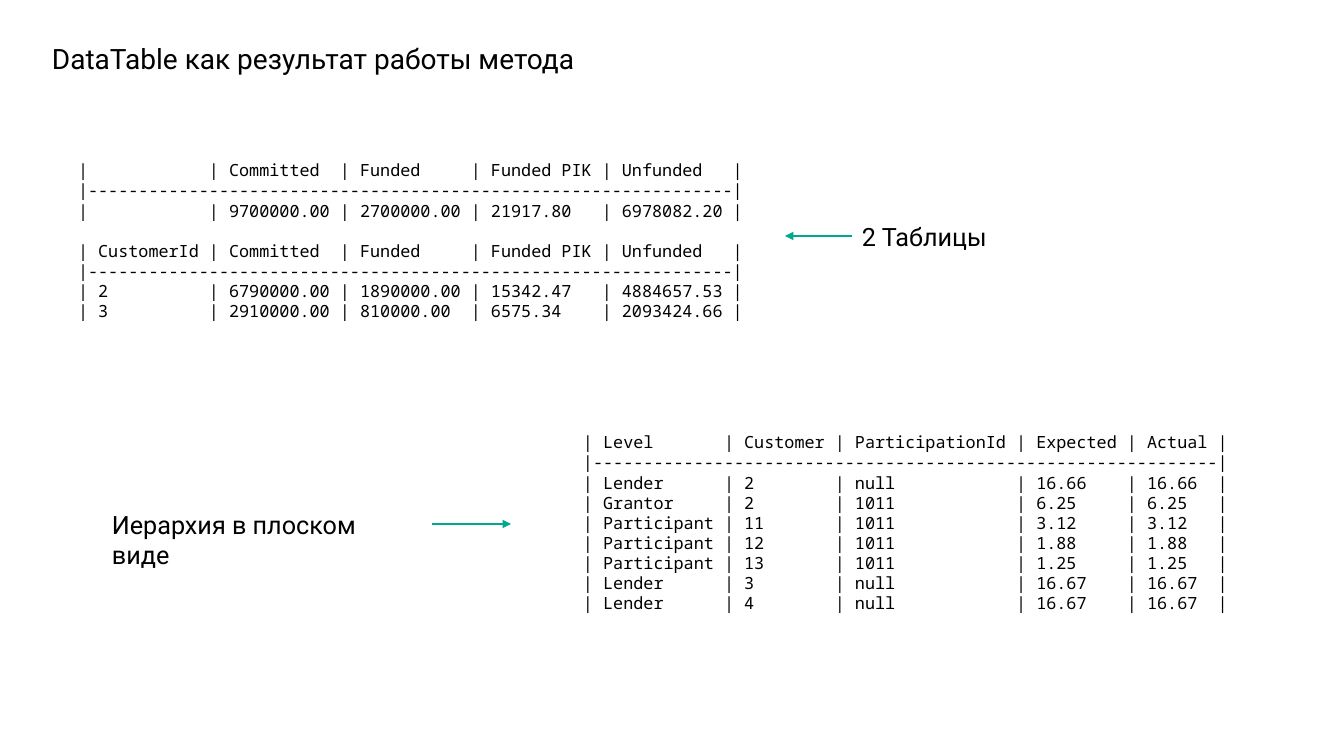
from pptx import Presentation
from pptx.dml.color import RGBColor
from pptx.enum.shapes import MSO_CONNECTOR
from pptx.enum.text import MSO_ANCHOR
from pptx.oxml.ns import qn
from pptx.util import Pt
from lxml.etree import SubElement

# Content
TITLE = "DataTable как результат работы метода"
TWO = "2 Таблицы"
FLAT = "Иерархия в плоском виде"
SUMS = ("Committed", "Funded", "Funded PIK", "Unfunded")
TOTAL = [
    ("", *SUMS),
    ("", "9700000.00", "2700000.00", "21917.80", "6978082.20"),
]
CLIENTS = [
    ("CustomerId", *SUMS),
    ("2", "6790000.00", "1890000.00", "15342.47", "4884657.53"),
    ("3", "2910000.00", "810000.00", "6575.34", "2093424.66"),
]
LEVELS = [
    ("Level", "Customer", "ParticipationId", "Expected", "Actual"),
    ("Lender", "2", "null", "16.66", "16.66"),
    ("Grantor", "2", "1011", "6.25", "6.25"),
    ("Participant", "11", "1011", "3.12", "3.12"),
    ("Participant", "12", "1011", "1.88", "1.88"),
    ("Participant", "13", "1011", "1.25", "1.25"),
    ("Lender", "3", "null", "16.67", "16.67"),
    ("Lender", "4", "null", "16.67", "16.67"),
]

BLACK = RGBColor(0x00, 0x00, 0x00)
GREEN = RGBColor(0x00, 0xA8, 0x8E)
SANS, MONO = "Roboto", "Noto Sans Mono"
LINE = Pt(14.4)  # height of one console line


def px(n):
    return round(n * 914400 / 100.8)


deck = Presentation()
deck.slide_width, deck.slide_height = px(1344), px(756)
slide = deck.slides.add_slide(deck.slide_layouts[6])


def add_text(box, lines, size, font):
    shape = slide.shapes.add_textbox(*map(px, box))
    frame = shape.text_frame
    frame.word_wrap = True
    for i, line in enumerate(lines):
        para = frame.paragraphs[0] if i == 0 else frame.add_paragraph()
        run = para.add_run()
        run.text = line
        run.font.size, run.font.name = Pt(size), font
        run.font.color.rgb = BLACK
    return shape


def add_arrow(x1, x2, y):
    arrow = slide.shapes.add_connector(
        MSO_CONNECTOR.STRAIGHT, px(x1), px(y), px(x2), px(y))
    arrow.line.color.rgb = GREEN
    arrow.line.width = Pt(1.5)
    SubElement(arrow.line._get_or_add_ln(), qn("a:tailEnd"), type="triangle")
    SubElement(arrow._element.spPr, qn("a:effectLst"))
    return arrow


def add_grids(box, *grids):
    """Console tables that share their column widths."""
    rows = [row for grid in grids for row in grid]
    wide = [max(map(len, col)) for col in zip(*rows)]
    lines, heads = [], []
    for grid in grids:
        heads.append(len(lines))
        text = [" | " + " | ".join(c.ljust(w) for c, w in zip(row, wide)) + " |"
                for row in grid]
        rule = " |" + "-" * (len(text[0]) - 3) + "|"
        lines += [text[0], rule, *text[1:]]
    shape = add_text(box, lines, 12, MONO)
    for head in heads[1:]:
        shape.text_frame.paragraphs[head].space_before = LINE


# Title
title = add_text((42, 36, 1159, 49), [TITLE], 20, SANS)
title.text_frame.vertical_anchor = MSO_ANCHOR.MIDDLE
title.text_frame.paragraphs[0].line_spacing = 0.9

# Console tables
add_grids((58, 155, 750, 173), TOTAL, CLIENTS)
add_grids((563, 427, 750, 194), LEVELS)

# Labels and arrows
two = add_text((852, 216, 148, 40), [TWO], 18, SANS)
add_arrow(852, 785, 236).begin_connect(two, 1)
add_text((102, 504, 318, 40), [FLAT], 18, SANS)
add_arrow(432, 511, 524)

deck.save("out.pptx")
